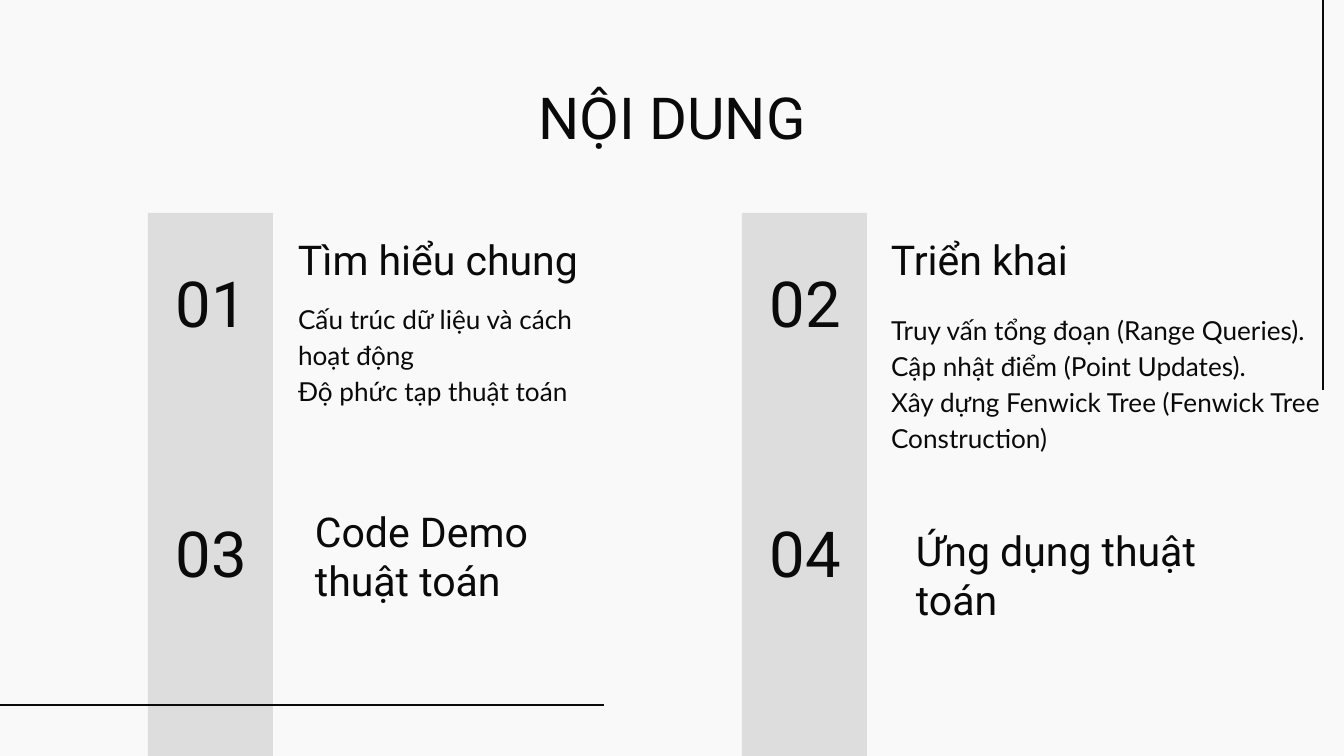
"""Build the contents slide with four numbered sections."""
from lxml.etree import SubElement
from pptx import Presentation
from pptx.dml.color import RGBColor
from pptx.enum.shapes import MSO_CONNECTOR, MSO_SHAPE
from pptx.enum.text import MSO_ANCHOR, MSO_AUTO_SIZE, PP_ALIGN
from pptx.oxml.ns import qn
from pptx.util import Emu, Pt

INK = RGBColor(0x0A, 0x0A, 0x0A)
BAR = RGBColor(0xDD, 0xDD, 0xDD)
PAPER = RGBColor(0xF9, 0xF9, 0xF9)
SLIDE_WIDTH, SLIDE_HEIGHT = 1344, 756
BAR_TOP, BAR_WIDTH = 213, 125
BAR_LEFTS = (148, 742)
NUMBER_TOPS = (218, 468)
INSET = 13

HEADINGS = [
    ("Tìm hiểu chung", (285, 202, 336, 95)),
    ("Triển khai", (878, 202, 336, 95)),
    ("Code Demo thuật toán", (302, 500, 336, 118)),
    ("Ứng dụng thuật toán", (903, 519, 336, 118)),
]
DETAILS = [
    (["Cấu trúc dữ liệu và cách hoạt động", "Độ phức tạp thuật toán"],
     (285, 286, 336, 214)),
    (["Truy vấn tổng đoạn (Range Queries).", "Cập nhật điểm (Point Updates).",
      "Xây dựng Fenwick Tree (Fenwick Tree Construction)"],
     (878, 297, 460, 203)),
]


def px(length):
    return Emu(round(length * 9144000 / SLIDE_WIDTH))


def place(holder, box):
    holder.left, holder.top, holder.width, holder.height = map(px, box)


def write(holder, lines, size, font="Roboto", align=PP_ALIGN.LEFT,
          anchor=MSO_ANCHOR.TOP, spacing=1.0):
    frame = holder.text_frame
    frame.text = "\n".join(lines)
    frame.word_wrap = True
    frame.auto_size = MSO_AUTO_SIZE.NONE
    frame.vertical_anchor = anchor
    frame.margin_left = frame.margin_right = px(INSET)
    frame.margin_top = frame.margin_bottom = px(INSET)
    for paragraph in frame.paragraphs:
        paragraph.alignment = align
        paragraph.line_spacing = spacing
        paragraph.space_before = Pt(0)
        paragraph.font.name = font
        paragraph.font.size = Pt(size)
        paragraph.font.color.rgb = INK


def add_label(slide, text, box, size, **style):
    label = slide.shapes.add_textbox(*map(px, box))
    write(label, [text], size, **style)


def fill_details(body, lines, box):
    place(body, box)
    write(body, lines, 14, font="Lato", spacing=1.15)
    for paragraph in body.text_frame.paragraphs:
        properties = paragraph._p.get_or_add_pPr()
        properties.set("marL", "0")
        properties.set("indent", "0")
        bullet = SubElement(properties, qn("a:buNone"))
        properties.find(qn("a:defRPr")).addprevious(bullet)


def add_bar(slide, left):
    bar = slide.shapes.add_shape(
        MSO_SHAPE.RECTANGLE,
        *map(px, (left, BAR_TOP, BAR_WIDTH, SLIDE_HEIGHT - BAR_TOP)))
    bar.shadow.inherit = False
    bar.fill.solid()
    bar.fill.fore_color.rgb = BAR
    bar.line.fill.background()


def add_rule(slide, *ends):
    rule = slide.shapes.add_connector(MSO_CONNECTOR.STRAIGHT, *map(px, ends))
    rule.line.color.rgb = INK
    rule.line.width = Pt(0.75)
    SubElement(rule._element.spPr, qn("a:effectLst"))


def main():
    deck = Presentation()
    deck.slide_width, deck.slide_height = px(SLIDE_WIDTH), px(SLIDE_HEIGHT)
    slide = deck.slides.add_slide(deck.slide_layouts.get_by_name("Two Content"))
    slide.background.fill.solid()
    slide.background.fill.fore_color.rgb = PAPER

    title, *bodies = slide.placeholders
    place(title, (105, 69, 1134, 81))
    write(title, ["NỘI DUNG"], 31, align=PP_ALIGN.CENTER)
    for body, (lines, box) in zip(bodies, DETAILS):
        fill_details(body, lines, box)

    for left in BAR_LEFTS:
        add_bar(slide, left)
    add_rule(slide, 1323, 390, 1323, 0)
    add_rule(slide, 0, 705, 604, 705)

    for index, (heading, box) in enumerate(HEADINGS):
        row, column = divmod(index, 2)
        add_label(slide, heading, box, 22, anchor=MSO_ANCHOR.BOTTOM)
        number_box = (BAR_LEFTS[column] - 1, NUMBER_TOPS[row], 129, 169)
        add_label(slide, f"{index + 1:02}", number_box, 34,
                  align=PP_ALIGN.CENTER, anchor=MSO_ANCHOR.MIDDLE)

    deck.save("out.pptx")


if __name__ == "__main__":
    main()
